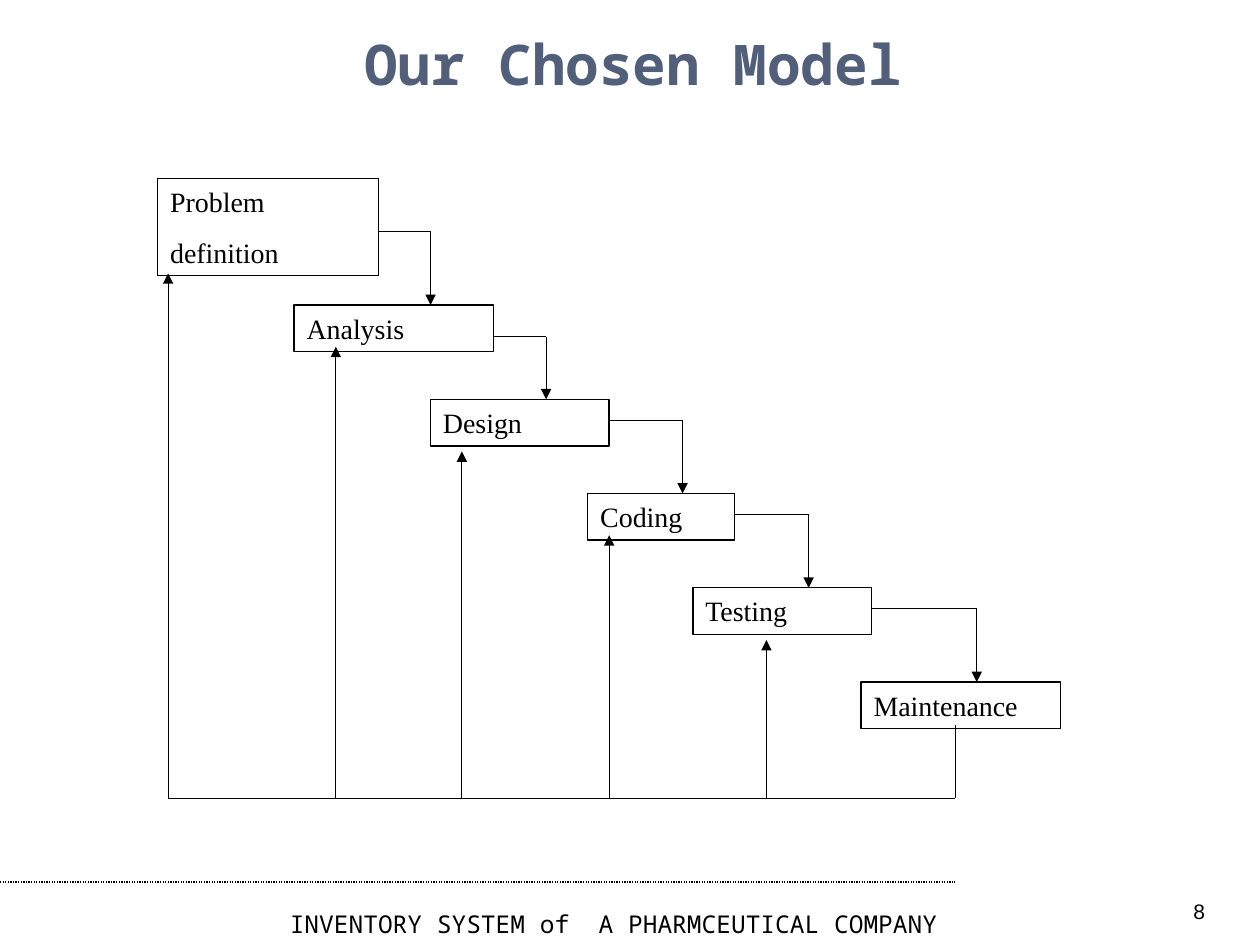
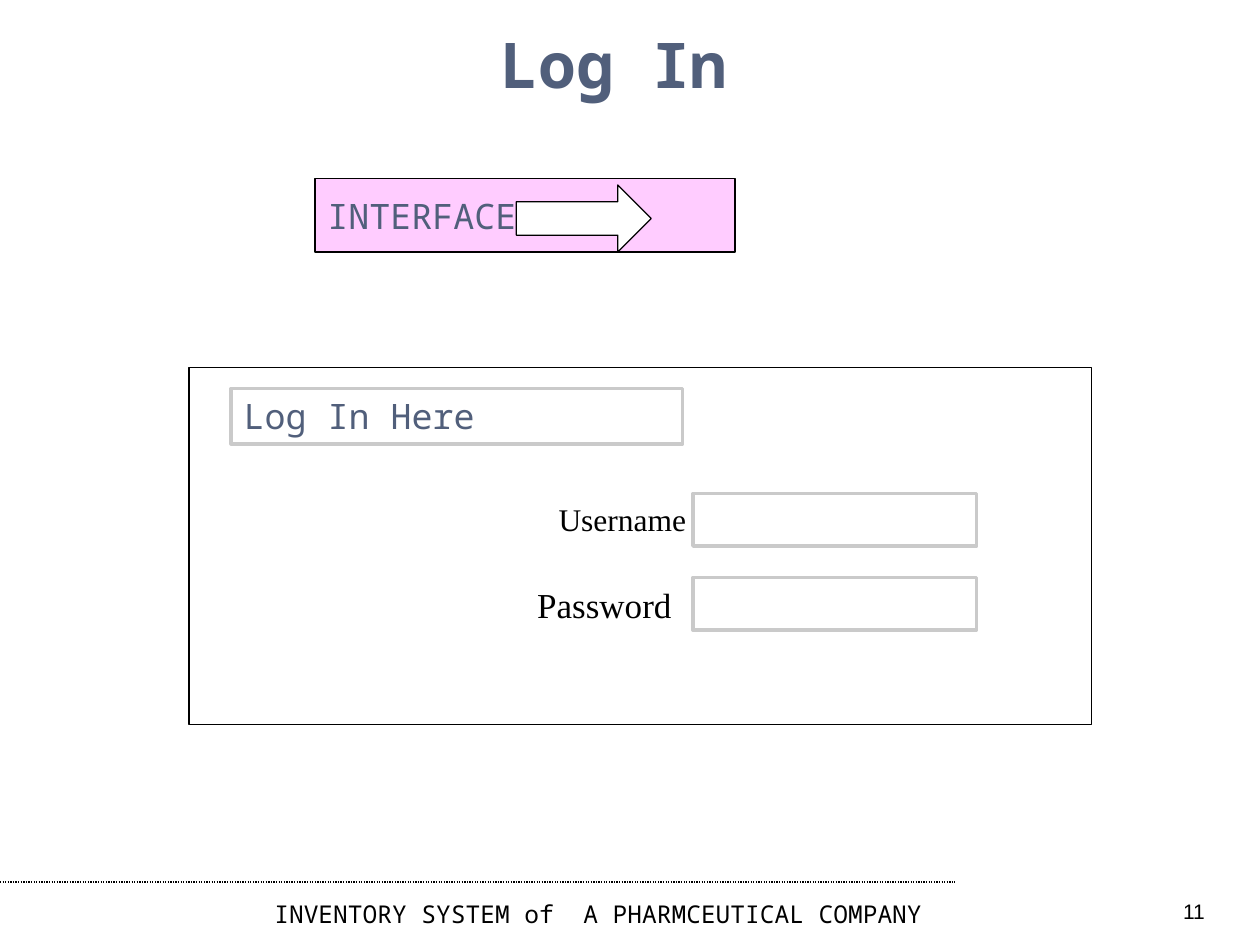
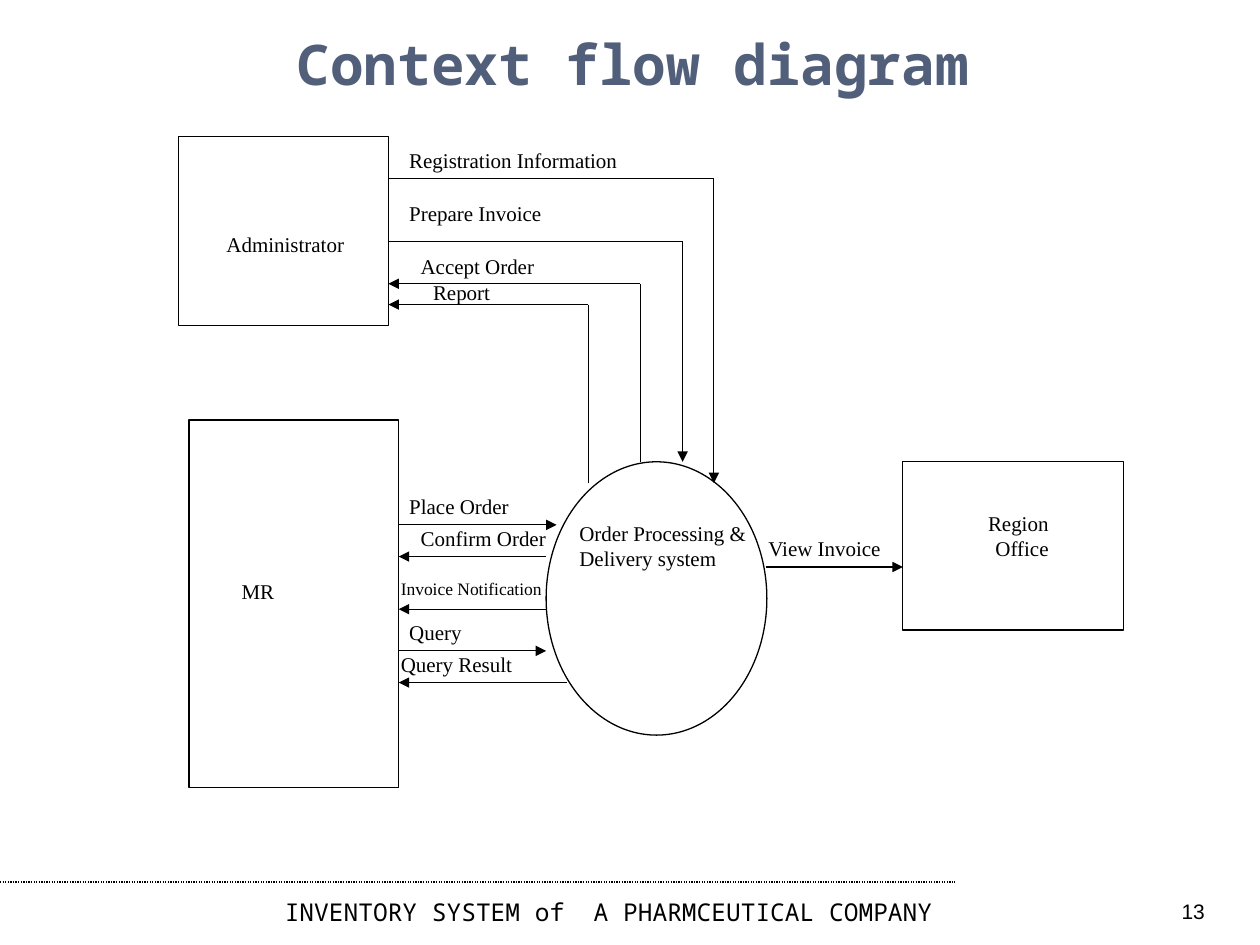
from dataclasses import dataclass
from itertools import pairwise

from lxml.etree import SubElement
from pptx import Presentation
from pptx.dml.color import RGBColor
from pptx.enum.dml import MSO_LINE
from pptx.enum.shapes import MSO_CONNECTOR, MSO_SHAPE
from pptx.enum.text import MSO_ANCHOR, PP_ALIGN
from pptx.oxml.ns import qn
from pptx.util import Cm, Pt

COLORS = {"ink": "000000", "title": "515F7B", "pink": "FFCCFF", "white": "FFFFFF", "field": "CACACA"}
SERIF, MONO, SANS = "Times New Roman", "Noto Sans Mono", "Arial"
FOOTER = "INVENTORY SYSTEM of  A PHARMCEUTICAL COMPANY"


@dataclass(frozen=True)
class Box:
    left: float
    top: float
    width: float
    height: float

    def lengths(self) -> list:
        return [Cm(v) for v in (self.left, self.top, self.width, self.height)]


@dataclass(frozen=True)
class Style:
    size: float = 12
    font: str = SERIF
    color: str = "ink"
    bold: bool = False
    align: PP_ALIGN = PP_ALIGN.LEFT
    anchor: MSO_ANCHOR = MSO_ANCHOR.TOP
    gap: float = 0


@dataclass(frozen=True)
class Frame:
    title: str
    number: str
    footer: Box
    title_size: float = 32
    title_left: float = 1.27


@dataclass(frozen=True)
class Label:
    text: str
    box: Box
    style: Style = Style()


@dataclass(frozen=True)
class Stage:
    name: str
    box: Box
    exit_drop: float = 0
    turn_x: float = 0
    return_x: float = 0
    return_drop: float = 0


def rgb(name: str) -> RGBColor:
    return RGBColor.from_string(COLORS[name])


def write(shape, text: str, style: Style) -> None:
    tf = shape.text_frame
    tf.word_wrap = True
    tf.vertical_anchor = style.anchor
    tf.text = text
    for i, p in enumerate(tf.paragraphs):
        p.alignment = style.align
        if i and style.gap:
            p.space_before = Pt(style.gap)
        font = p.font
        font.name, font.size, font.bold = style.font, Pt(style.size), style.bold
        font.color.rgb = rgb(style.color)


def add_text(s, text: str, box: Box, style: Style) -> None:
    write(s.shapes.add_textbox(*box.lengths()), text, style)


def add_box(s, box: Box, kind=MSO_SHAPE.RECTANGLE, fill: str = "", line: str = "ink", weight: float = 0.75):
    sp = s.shapes.add_shape(kind, *box.lengths())
    sp.shadow.inherit = False
    if fill:
        sp.fill.solid()
        sp.fill.fore_color.rgb = rgb(fill)
    else:
        sp.fill.background()
    sp.line.color.rgb = rgb(line)
    sp.line.width = Pt(weight)
    return sp


def add_line(s, start: tuple, end: tuple, arrow: bool = False):
    cx = s.shapes.add_connector(MSO_CONNECTOR.STRAIGHT, *[Cm(v) for v in (*start, *end)])
    cx.line.color.rgb = rgb("ink")
    cx.line.width = Pt(0.75)
    if arrow:
        SubElement(cx.line._get_or_add_ln(), qn("a:tailEnd"), type="triangle")
    SubElement(cx._element.spPr, qn("a:effectLst"))
    return cx


def add_route(s, *points: tuple) -> None:
    for start, end in pairwise(points):
        add_line(s, start, end, arrow=end == points[-1])


def add_slide(prs, frame: Frame):
    s = prs.slides.add_slide(prs.slide_layouts[6])
    s.background.fill.solid()
    s.background.fill.fore_color.rgb = rgb("white")
    add_line(s, (0, 17.78), (19.26, 17.78)).line.dash_style = MSO_LINE.ROUND_DOT
    add_text(s, frame.number, Box(18.62, 17.98, 5.92, 0.69), Style(12, SANS, align=PP_ALIGN.RIGHT))
    add_text(s, frame.title, Box(frame.title_left, 0.64, 22.99, 1.27),
             Style(frame.title_size, MONO, "title", True, PP_ALIGN.CENTER, MSO_ANCHOR.MIDDLE))
    add_text(s, FOOTER, frame.footer, Style(14, MONO, align=PP_ALIGN.CENTER))
    return s


def stage_box(row: int, left: float, width: float) -> Box:
    return Box(left, 6.15 + 1.9 * row, width, 0.94)


STAGES = [
    Stage("Problem\ndefinition", Box(3.18, 3.6, 4.45, 1.96), 1.06, 8.68, 3.39, 1.91),
    Stage("Analysis", stage_box(0, 5.93, 4.02), 0.64, 11.01, 6.77, 0.84),
    Stage("Design", stage_box(1, 8.68, 3.6), 0.42, 13.76, 9.31, 1.05),
    Stage("Coding", stage_box(2, 11.85, 2.96), 0.42, 16.3, 12.28, 0.84),
    Stage("Testing", stage_box(3, 13.97, 3.6), 0.42, 19.69, 15.45, 1.05),
    Stage("Maintenance", stage_box(4, 17.36, 4.02)),
]


def model_slide(prs) -> None:
    s = add_slide(prs, Frame("Our Chosen Model", "8", Box(5.08, 18.2, 14.6, 0.84)))
    for stage in STAGES:
        write(add_box(s, stage.box), stage.name, Style(16, gap=10))
    for stage, following in pairwise(STAGES):
        b = stage.box
        y = b.top + stage.exit_drop
        add_route(s, (b.left + b.width, y), (stage.turn_x, y), (stage.turn_x, following.box.top))
    base, out_x = 16.09, 19.26
    first, *others = STAGES[:-1]
    add_route(s, (out_x, 14.61), (out_x, base), (first.return_x, base),
              (first.return_x, first.box.top + first.return_drop))
    for stage in others:
        add_route(s, (stage.return_x, base), (stage.return_x, stage.box.top + stage.return_drop))


def login_slide(prs) -> None:
    s = add_slide(prs, Frame("Log In", "11", Box(4.66, 17.99, 14.82, 0.84), 36, 0.89))
    heading = Style(20, MONO, "title")
    banner = add_box(s, Box(6.35, 3.6, 8.47, 1.48), fill="pink")
    write(banner, "INTERFACE", Style(20, MONO, "title", anchor=MSO_ANCHOR.MIDDLE))
    add_box(s, Box(10.41, 3.73, 2.72, 1.35), MSO_SHAPE.RIGHT_ARROW, "white")
    add_box(s, Box(3.81, 7.41, 18.2, 7.2), fill="white")
    write(add_box(s, Box(4.66, 7.83, 9.1, 1.12), line="field", weight=2), "Log In Here", heading)
    for label in (Label("Username", Box(11.01, 9.95, 3.81, 1.02), Style(18)),
                  Label("Password", Box(10.58, 11.64, 3.39, 1.12), Style(20))):
        add_text(s, label.text, label.box, label.style)
        add_box(s, Box(13.97, label.box.top, 5.72, 1.06), line="field", weight=2)


RIGHT = Style(align=PP_ALIGN.RIGHT)
ADMIN_EDGE, MR_EDGE, SYSTEM_EDGE = 7.83, 8.04, 11.01
ENTITIES = [Box(3.6, 2.75, 4.23, 3.81), Box(3.81, 8.47, 4.23, 7.41), Box(18.2, 9.31, 4.45, 3.39)]
ROUTES = [
    [(11.86, 9.74), (11.86, 6.14), (ADMIN_EDGE, 6.14)],
    [(12.91, 9.31), (12.91, 5.72), (ADMIN_EDGE, 5.72)],
    [(ADMIN_EDGE, 4.87), (13.76, 4.87), (13.76, 9.31)],
    [(ADMIN_EDGE, 3.6), (14.39, 3.6), (14.39, 9.74)],
    [(15.45, 11.43), (18.2, 11.43)],
    [(MR_EDGE, 10.58), (11.22, 10.58)],
    [(SYSTEM_EDGE, 11.22), (MR_EDGE, 11.22)],
    [(SYSTEM_EDGE, 12.28), (MR_EDGE, 12.28)],
    [(MR_EDGE, 13.12), (SYSTEM_EDGE, 13.12)],
    [(11.43, 13.76), (MR_EDGE, 13.76)],
]
LABELS = [
    Label("Administrator", Box(3.71, 4.55, 3.48, 0.76), RIGHT),
    Label("MR", Box(4.62, 11.53, 1.27, 0.76)),
    Label("Order Processing &\nDelivery system", Box(11.43, 10.36, 4.17, 1.27)),
    Label("Region\nOffice", Box(19.48, 10.16, 1.91, 1.27), RIGHT),
    Label("Registration Information", Box(8, 2.84, 4.8, 0.76)),
    Label("Prepare Invoice", Box(8, 3.91, 3.28, 0.76)),
    Label("Accept Order", Box(8.23, 4.98, 2.89, 0.76)),
    Label("Report", Box(8.48, 5.51, 1.75, 0.76)),
    Label("Place Order", Box(8, 9.83, 2.61, 0.76)),
    Label("Confirm Order", Box(8.23, 10.46, 3.12, 0.76)),
    Label("Invoice Notification", Box(7.83, 11.53, 4.24, 0.69), Style(10)),
    Label("Query", Box(8, 12.37, 1.68, 0.76)),
    Label("Query Result", Box(7.83, 13, 3.38, 0.76)),
    Label("View Invoice", Box(15.24, 10.67, 2.97, 0.76)),
]


def context_slide(prs) -> None:
    s = add_slide(prs, Frame("Context flow diagram", "13", Box(5.08, 17.96, 14.4, 0.84)))
    add_box(s, Box(SYSTEM_EDGE, 9.31, 4.45, 5.51), MSO_SHAPE.OVAL)
    for entity in ENTITIES:
        add_box(s, entity)
    for route in ROUTES:
        add_route(s, *route)
    for label in LABELS:
        add_text(s, label.text, label.box, label.style)


def main() -> None:
    prs = Presentation()
    prs.slide_width, prs.slide_height = Cm(25.4), Cm(19.05)
    for build in (model_slide, login_slide, context_slide):
        build(prs)
    prs.save("out.pptx")


if __name__ == "__main__":
    main()
